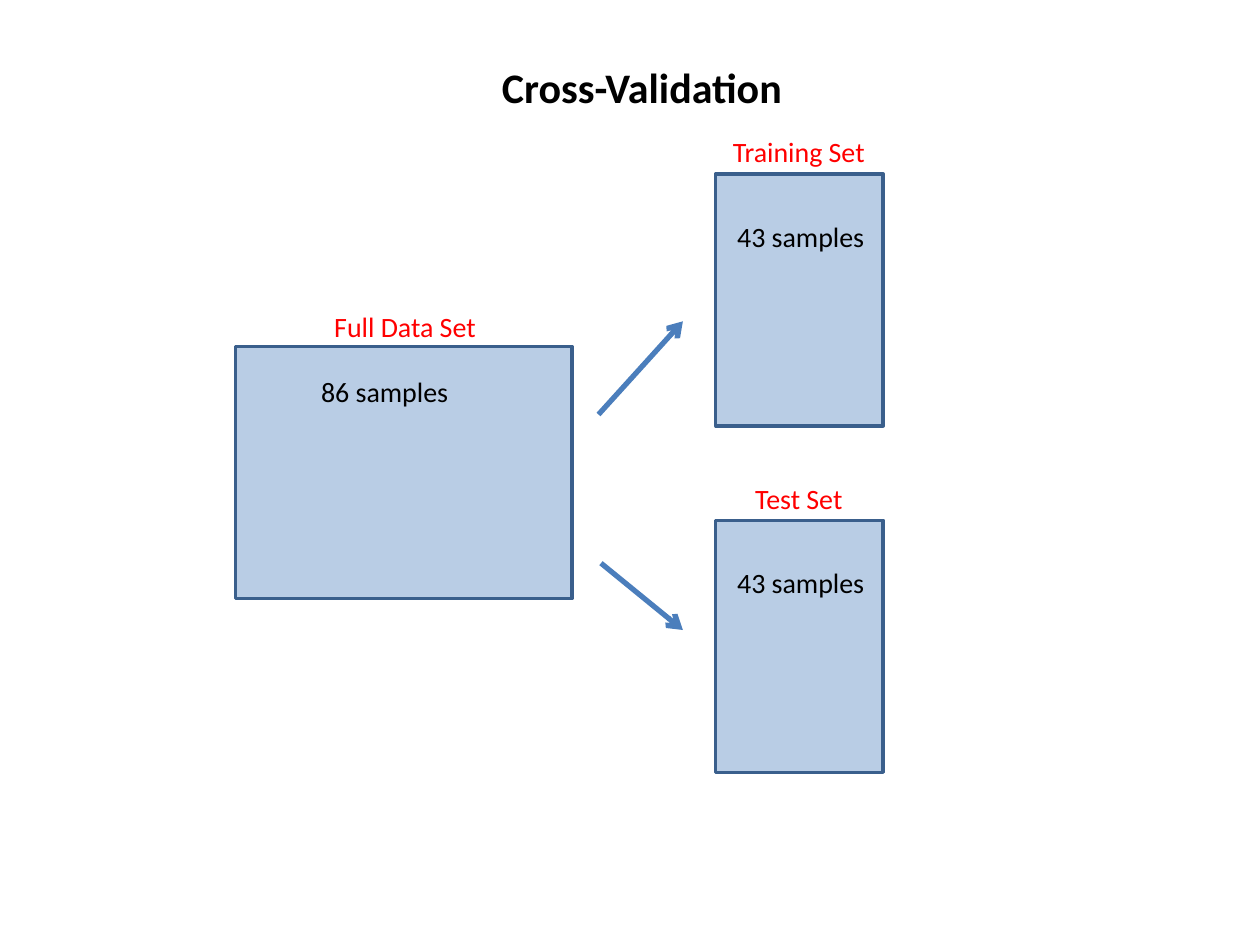
from pptx import Presentation
from pptx.dml.color import RGBColor
from pptx.enum.shapes import MSO_CONNECTOR, MSO_SHAPE
from pptx.enum.text import MSO_ANCHOR, MSO_AUTO_SIZE, PP_ALIGN
from pptx.oxml.ns import qn
from pptx.util import Inches, Pt
from lxml.etree import SubElement

BLACK = RGBColor(0x00, 0x00, 0x00)
RED = RGBColor(0xFF, 0x00, 0x00)
FILL = RGBColor(0xB9, 0xCD, 0xE5)
EDGE = RGBColor(0x3A, 0x5F, 0x8C)
ARROW = RGBColor(0x4B, 0x7E, 0xBC)


def write(frame, text, size=16, color=BLACK, bold=False, align=PP_ALIGN.CENTER):
    """Put one formatted line of text in a frame."""
    frame.word_wrap = True
    frame.auto_size = MSO_AUTO_SIZE.NONE
    frame.vertical_anchor = MSO_ANCHOR.TOP
    line = frame.paragraphs[0]
    line.alignment = align
    run = line.add_run()
    run.text = text
    run.font.name = "Calibri"
    run.font.size = Pt(size)
    run.font.bold = bold
    run.font.color.rgb = color


class Deck:
    """Holds the style and the current slide."""

    def __init__(self):
        self.file = Presentation()
        self.file.slide_width = Inches(10)
        self.file.slide_height = Inches(7.5)
        self.slide = self.file.slides.add_slide(self.file.slide_layouts[5])
        self.shapes = self.slide.shapes

    def title(self, text, x, y, w, h):
        head = self.shapes.title
        head.left, head.top = Inches(x), Inches(y)
        head.width, head.height = Inches(w), Inches(h)
        write(head.text_frame, text, size=24, bold=True)

    def box(self, x, y, w, h):
        rect = self.shapes.add_shape(
            MSO_SHAPE.RECTANGLE, Inches(x), Inches(y), Inches(w), Inches(h))
        rect.shadow.inherit = False
        rect.fill.solid()
        rect.fill.fore_color.rgb = FILL
        rect.line.color.rgb = EDGE
        rect.line.width = Pt(2)

    def label(self, text, x, y, w, h, **style):
        note = self.shapes.add_textbox(Inches(x), Inches(y), Inches(w), Inches(h))
        write(note.text_frame, text, **style)

    def arrow(self, x1, y1, x2, y2):
        link = self.shapes.add_connector(
            MSO_CONNECTOR.STRAIGHT, Inches(x1), Inches(y1), Inches(x2), Inches(y2))
        link.line.color.rgb = ARROW
        link.line.width = Pt(3)
        SubElement(link.line._get_or_add_ln(), qn("a:tailEnd"), type="arrow")
        SubElement(link._element.spPr, qn("a:effectLst"))


def main():
    deck = Deck()
    deck.title("Cross-Validation", 2.22, 0.44, 5.75, 0.5)

    # Full data set
    deck.box(1.87, 2.75, 2.67, 2)
    deck.label("86 samples", 2.45, 2.92, 1.5, 0.67, align=PP_ALIGN.LEFT)
    deck.label("Full Data Set", 1.88, 2.41, 2.67, 0.67, color=RED)

    # Arrows to the two halves
    deck.arrow(4.77, 4.47, 5.42, 5)
    deck.arrow(4.75, 3.29, 5.42, 2.55)

    # Training and test halves
    for name, top in (("Training Set", 1.38), ("Test Set", 4.13)):
        deck.box(5.68, top, 1.33, 2)
        deck.label("43 samples", 5.69, top + 0.31, 1.33, 0.37)
        deck.label(name, 5.68, top - 0.36, 1.32, 0.67, color=RED)

    deck.file.save("out.pptx")


if __name__ == "__main__":
    main()
